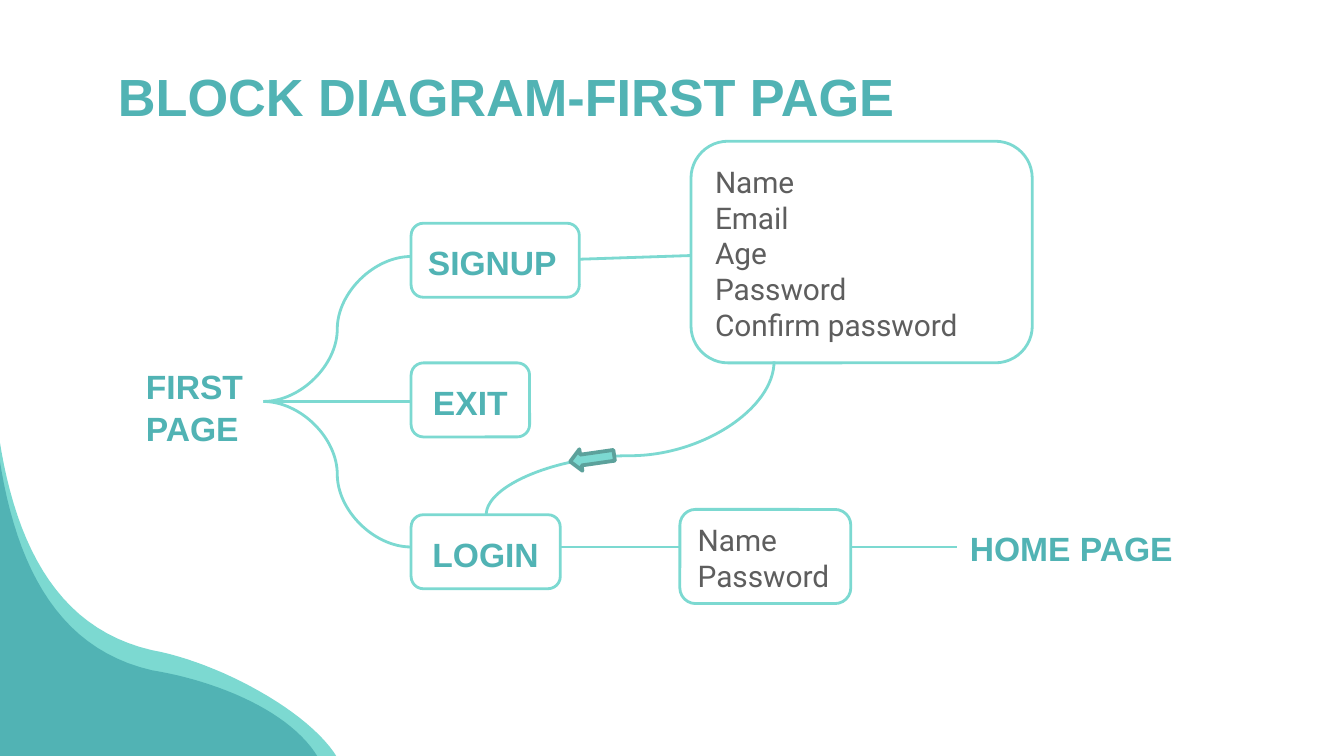
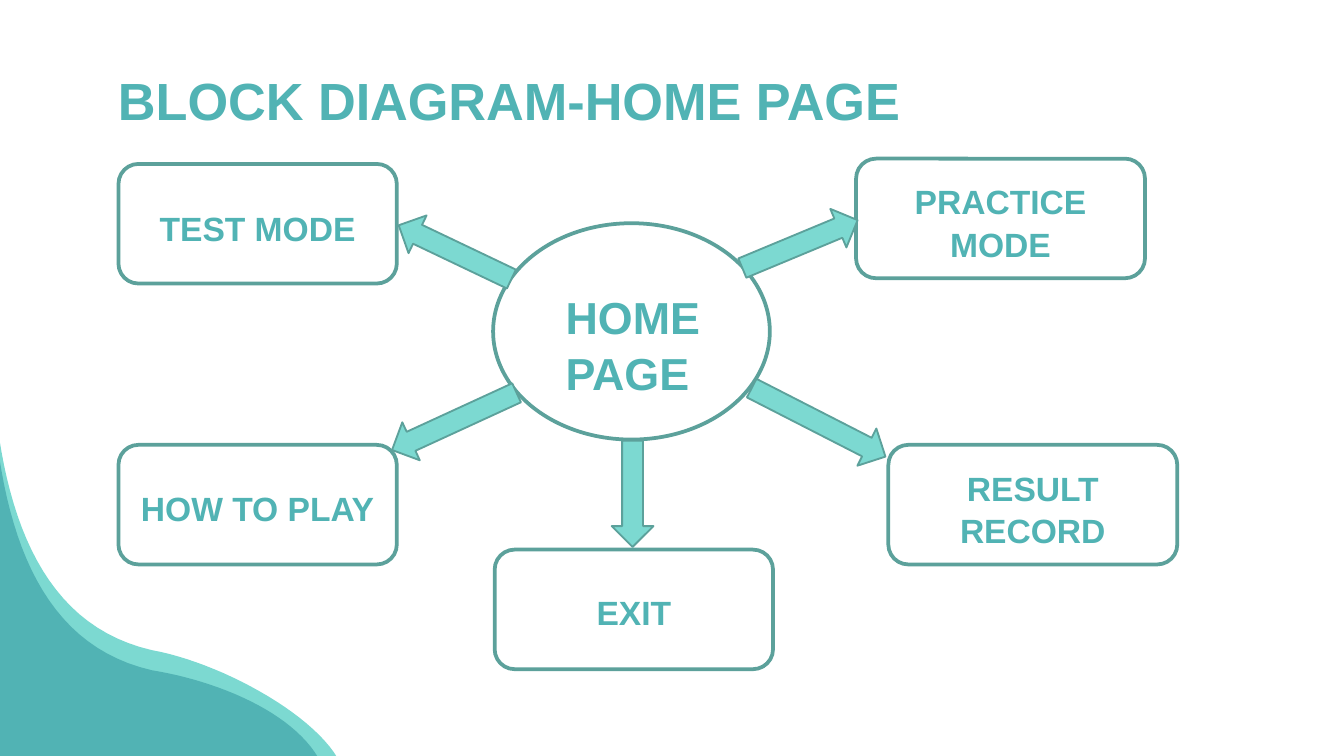
from lxml import etree
from pptx import Presentation
from pptx import util as u
from pptx.dml.color import RGBColor
from pptx.enum import shapes, text
from pptx.oxml.ns import qn

Cm = u.Cm
COLORS = {"teal": "51B3B4", "mint": "7CD9D1", "edge": "5CA19B", "gray": "5E5E5E"}
# name: (font, size, colour, bold, line spacing)
STYLES = {
    "title": ("Arial", 28, "teal", True, 1.05),
    "hub": ("Arial", 24, "teal", True, 1.05),
    "label": ("Arial", 18, "teal", True, 1.05),
    "fields": ("Roboto", 16, "gray", False, 1.0),
}
LEFT, CENTER = text.PP_ALIGN.LEFT, text.PP_ALIGN.CENTER
TOP, MIDDLE = text.MSO_ANCHOR.TOP, text.MSO_ANCHOR.MIDDLE
ROUNDED = shapes.MSO_SHAPE.FLOWCHART_ALTERNATE_PROCESS
STRAIGHT, CURVE = shapes.MSO_CONNECTOR.STRAIGHT, shapes.MSO_CONNECTOR.CURVE


def color(name):
    return RGBColor.from_string(COLORS[name])


def write(shape, lines, style, align=LEFT, anchor=TOP):
    font, size, ink, bold, spacing = STYLES[style]
    frame = shape.text_frame
    frame.word_wrap = True
    frame.auto_size = text.MSO_AUTO_SIZE.NONE
    frame.vertical_anchor = anchor
    frame.margin_left = frame.margin_right = frame.margin_bottom = Cm(0.25)
    frame.margin_top = Cm(0.29)
    frame.text = lines
    for paragraph in frame.paragraphs:
        paragraph.alignment = align
        paragraph.line_spacing = spacing
        paragraph.space_before = u.Pt(0)
        for run in paragraph.runs:
            run.font.name = font
            run.font.size = u.Pt(size)
            run.font.bold = bold
            run.font.color.rgb = color(ink)


def add_label(slide, left, top, width, height, lines, style="label", align=LEFT):
    label = slide.shapes.add_textbox(Cm(left), Cm(top), Cm(width), Cm(height))
    write(label, lines, style, align)


def add_outline(slide, kind, left, top, width, height, line, weight):
    """Add an unfilled shape with a coloured border."""
    shape = slide.shapes.add_shape(kind, Cm(left), Cm(top), Cm(width), Cm(height))
    shape.shadow.inherit = False
    shape.fill.background()
    shape.line.color.rgb = color(line)
    shape.line.width = u.Pt(weight)
    return shape


def add_arrow(slide, left, top, width, height, angle, weight):
    arrow = add_outline(slide, shapes.MSO_SHAPE.RIGHT_ARROW, left, top, width, height,
                        "edge", weight)
    arrow.fill.solid()
    arrow.fill.fore_color.rgb = color("mint")
    arrow.rotation = angle


def add_link(slide, kind, x1, y1, x2, y2):
    link = slide.shapes.add_connector(kind, Cm(x1), Cm(y1), Cm(x2), Cm(y2))
    link.line.color.rgb = color("mint")
    link.line.width = u.Pt(1.5)
    etree.SubElement(link.element.spPr, qn("a:effectLst"))
    return link


def turn_link(link, angle, bend):
    """Rotate a curved link and move its bend to a share of its length."""
    properties = link.element.spPr
    properties.find(qn("a:xfrm")).set("rot", str(angle * 60000))
    geometry = properties.find(qn("a:prstGeom"))
    adjustments = geometry.find(qn("a:avLst"))
    if adjustments is None:
        adjustments = etree.SubElement(geometry, qn("a:avLst"))
    etree.SubElement(adjustments, qn("a:gd"), name="adj1", fmla=f"val {round(bend * 100000)}")


def bezier(points, steps=24):
    """Sample a cubic curve, leaving out its first point."""
    for step in range(1, steps + 1):
        t = step / steps
        weights = ((1 - t) ** 3, 3 * t * (1 - t) ** 2, 3 * t * t * (1 - t), t ** 3)
        yield tuple(sum(w * p[axis] for w, p in zip(weights, points)) for axis in (0, 1))


def add_waves(slide, layout):
    """Draw the corner waves and move them to the layout that the slides share."""
    corner = (-0.05, 14.33)
    waves = (
        ("mint", [(6.38, 14.33), (5.87, 13.46), (4.14, 12.52), (2.87, 12.29),
                  (0.99, 11.86), (0.23, 10.13), (-0.05, 8.03)]),
        ("teal", [(6.02, 14.33), (5.51, 13.46), (4.14, 12.88), (2.87, 12.67),
                  (0.99, 12.24), (0.23, 10.52), (-0.05, 8.38)]),
    )
    for fill, nodes in waves:
        outline = [*bezier(nodes[:4]), *bezier(nodes[3:]), corner]
        builder = slide.shapes.build_freeform(*map(Cm, nodes[0]))
        builder.add_line_segments([(Cm(x), Cm(y)) for x, y in outline], close=True)
        wave = builder.convert_to_shape()
        wave.shadow.inherit = False
        wave.fill.solid()
        wave.fill.fore_color.rgb = color(fill)
        wave.line.fill.background()
        layout.shapes.element.append(wave.element)


def set_title(slide, top, words):
    title = slide.shapes.title
    title.left, title.top, title.width, title.height = map(Cm, (1.98, top, 21.44, 1.3))
    write(title, words, "title")


def draw_first_page(slide, left, top):
    def box(x, y, width, height, lines, style, align=LEFT):
        shape = add_outline(slide, ROUNDED, left + x, top + y, width, height, "mint", 1.5)
        write(shape, lines, style, align, MIDDLE)

    def link(kind, x1, y1, x2, y2):
        return add_link(slide, kind, left + x1, top + y1, left + x2, top + y2)

    fork_y, login_y, button_x = 4.92, 7.67, 5.26
    add_label(slide, left, top + 3.91, 4.09, 1.02, "FIRST PAGE")
    for kind, y in ((CURVE, 2.18), (CURVE, login_y), (STRAIGHT, fork_y)):
        link(kind, 2.47, fork_y, button_x, y)

    box(10.55, 0, 6.45, 4.19, "Name\nEmail\nAge\nPassword\nConfirm password", "fields")
    link(STRAIGHT, 8.44, 2.23, 10.55, 2.16)
    turn_link(link(CURVE, 7.95, 2.89, 10.85, 8.33), 270, 0.385)
    link(STRAIGHT, 8.08, login_y, 10.34, login_y)
    box(10.34, 6.96, 3.23, 1.78, "Name\nPassword", "fields")
    link(STRAIGHT, 13.57, login_y, 15.57, login_y)
    add_arrow(slide, left + 8.26, top + 5.79, 0.84, 0.41, 171.9, 2)
    add_label(slide, left + 15.57, top + 6.98, 4.78, 1.02, "HOME PAGE")

    for y, width, words, align in ((1.55, 3.18, "SIGNUP", LEFT),
                                   (4.19, 2.24, "EXIT", CENTER),
                                   (7.06, 2.82, "LOGIN", CENTER)):
        box(button_x, y, width, 1.4, words, "label", align)


def draw_home_page(slide, left, top):
    add_outline(slide, shapes.MSO_SHAPE.OVAL, left + 7.08, top + 1.22, 5.23, 4.09, "edge", 2)
    add_label(slide, left + 8.2, top + 2.13, 3.05, 2.44, "HOME\nPAGE", "hub")

    # x, y, box width, label width, label drop, words
    options = (
        (13.94, 0, 5.46, 4.78, 0.1, "PRACTICE MODE"),
        (0, 0.1, 5.26, 4.78, 0.51, "TEST MODE"),
        (0, 5.41, 5.26, 5, 0.48, "HOW TO PLAY"),
        (14.55, 5.41, 5.46, 4.78, 0.1, "RESULT RECORD"),
        (7.11, 7.39, 5.26, 4.78, 0.48, "EXIT"),
    )
    for x, y, width, label_width, drop, words in options:
        add_outline(slide, ROUNDED, left + x, top + y, width, 2.26, "edge", 2)
        add_label(slide, left + x + (width - label_width) / 2, top + y + drop,
                  label_width, 1.02, words, align=CENTER)

    for x, y, length, angle in ((5.18, 1.37, 2.36, 205.5), (5.05, 4.57, 2.59, 155.3),
                                (8.71, 5.94, 2.01, 90), (11.81, 4.59, 2.84, 27.1),
                                (11.7, 1.22, 2.36, 337.4)):
        add_arrow(slide, left + x, top + y, length, 0.79, angle, 1)


def main():
    presentation = Presentation()
    presentation.slide_width, presentation.slide_height = Cm(25.4), Cm(14.29)
    layout = presentation.slide_layouts.get_by_name("Title Only")

    first = presentation.slides.add_slide(layout)
    add_waves(first, layout)
    set_title(first, 0.86, "BLOCK DIAGRAM-FIRST PAGE")
    draw_first_page(first, 2.51, 2.67)

    home = presentation.slides.add_slide(layout)
    set_title(home, 0.94, "BLOCK DIAGRAM-HOME PAGE")
    draw_home_page(home, 2.24, 3)

    presentation.save("out.pptx")


if __name__ == "__main__":
    main()
